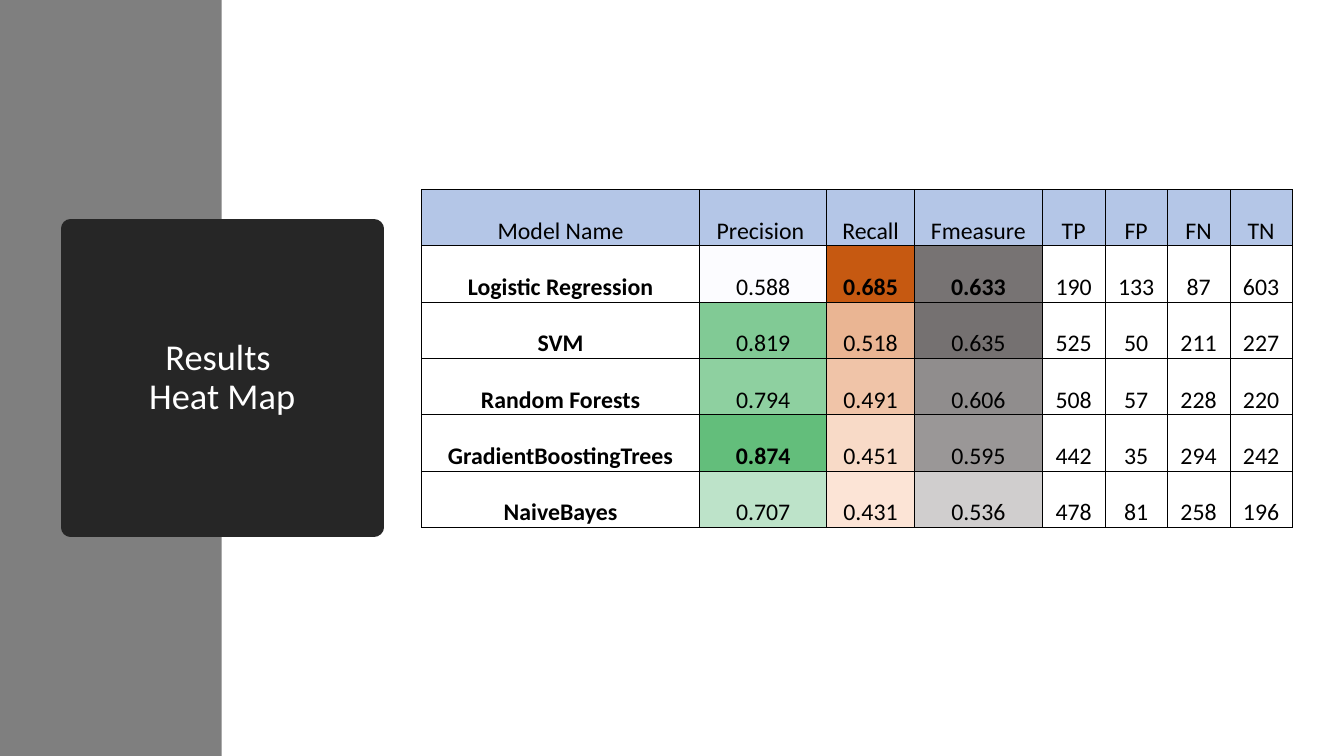
from lxml import etree
from pptx import Presentation
from pptx.dml.color import RGBColor
from pptx.enum.shapes import MSO_SHAPE
from pptx.enum.text import MSO_ANCHOR, PP_ALIGN
from pptx.oxml import parse_xml
from pptx.oxml.ns import qn
from pptx.util import Inches, Pt

RECT = MSO_SHAPE.RECTANGLE
MIDDLE, BOTTOM = MSO_ANCHOR.MIDDLE, MSO_ANCHOR.BOTTOM
CENTER = PP_ALIGN.CENTER
NS = "http://schemas.openxmlformats.org/drawingml/2006/main"


def paint(fill, color):
    fill.solid()
    fill.fore_color.rgb = RGBColor.from_string(color)


def style(para, size, color, bold=False):
    para.alignment = CENTER
    for run in para.runs:
        run.font.name = "Calibri"
        run.font.size = Pt(size)
        run.font.bold = bold
        paint(run.font.fill, color)


prs = Presentation()
prs.slide_width, prs.slide_height = Inches(13.33), Inches(7.5)
slide = prs.slides.add_slide(prs.slide_layouts[5])

# Grey side band
band = slide.shapes.add_shape(RECT, 0, 0, Inches(2.2), Inches(7.5))
band.shadow.inherit = False
paint(band.fill, "7F7F7F")
band.line.fill.background()

# Title box in front of the band, with rounded outline corners
title = slide.shapes.title
band.element.addnext(title.element)
title.left, title.top = Inches(0.7), Inches(2.27)
title.width, title.height = Inches(3.01), Inches(2.96)
paint(title.fill, "262626")
paint(title.line.fill, "262626")
title.line.width = Pt(13.75)
etree.SubElement(title.line.fill._xPr, qn("a:round"))
frame = title.text_frame
frame.word_wrap = True
frame.vertical_anchor = MIDDLE
frame.text = "Results \vHeat Map"
frame.paragraphs[0].line_spacing = 0.9
style(frame.paragraphs[0], 26, "FFFFFF")

# Table content
heads = ["Model Name", "Precision ", "Recall", "Fmeasure", "TP", "FP", "FN", "TN"]
rows = [
    heads,
    ["Logistic Regression", "0.588", "0.685", "0.633", "190", "133", "87", "603"],
    ["SVM", "0.819", "0.518", "0.635", "525", "50", "211", "227"],
    ["Random Forests", "0.794", "0.491", "0.606", "508", "57", "228", "220"],
    ["GradientBoostingTrees", "0.874", "0.451", "0.595", "442", "35", "294", "242"],
    ["NaiveBayes", "0.707", "0.431", "0.536", "478", "81", "258", "196"],
]
# Heat colours of precision, recall and F-measure, one row per model
heat = [
    ["FCFCFF", "C65911", "777373"],
    ["81CA95", "EAB593", "757171"],
    ["8ED0A0", "F0C4A8", "908D8D"],
    ["63BE7B", "F8DAC7", "9A9797"],
    ["BDE3C9", "FCE4D6", "D0CECE"],
]
best = {(1, 2), (1, 3), (4, 1)}
widths = [2.76, 1.26, 0.87, 1.27] + [0.62] * 4

# Heat map table
table = slide.shapes.add_table(
    len(rows), len(heads), Inches(4.18), Inches(1.88), Inches(8.64), Inches(3.35)
).table
table.first_row = table.horz_banding = False
for col, width in zip(table.columns, widths):
    col.width = Inches(width)
for r, row in enumerate(rows):
    table.rows[r].height = Inches(3.35 / len(rows))
    for c, text in enumerate(row):
        cell = table.cell(r, c)
        cell.text = text
        cell.vertical_anchor = BOTTOM
        cell.margin_left = cell.margin_right = cell.margin_top = Inches(0.02)
        cell.margin_bottom = 0
        bold = r > 0 and c == 0 or (r, c) in best
        style(cell.text_frame.paragraphs[0], 17, "000000", bold)

        # Thin black borders
        props = cell._tc.get_or_add_tcPr()
        for side in "LRTB":
            props.append(parse_xml(
                f'<a:ln{side} xmlns:a="{NS}" w="{Pt(0.5)}"><a:solidFill>'
                f'<a:srgbClr val="000000"/></a:solidFill></a:ln{side}>'))

        if r == 0:
            paint(cell.fill, "B4C6E7")
        elif 1 <= c <= 3:
            paint(cell.fill, heat[r - 1][c - 1])
        else:
            cell.fill.background()

prs.save("out.pptx")
